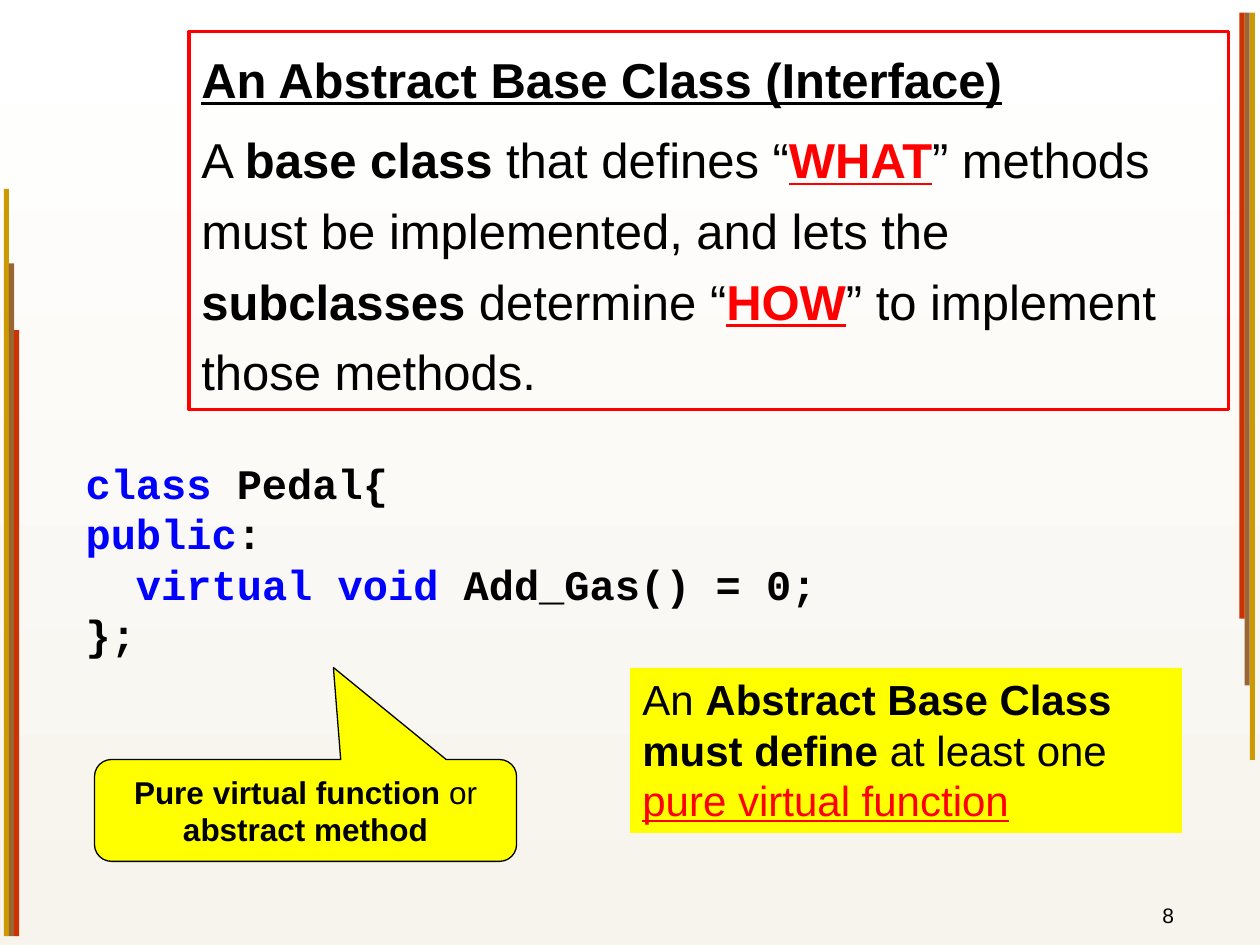
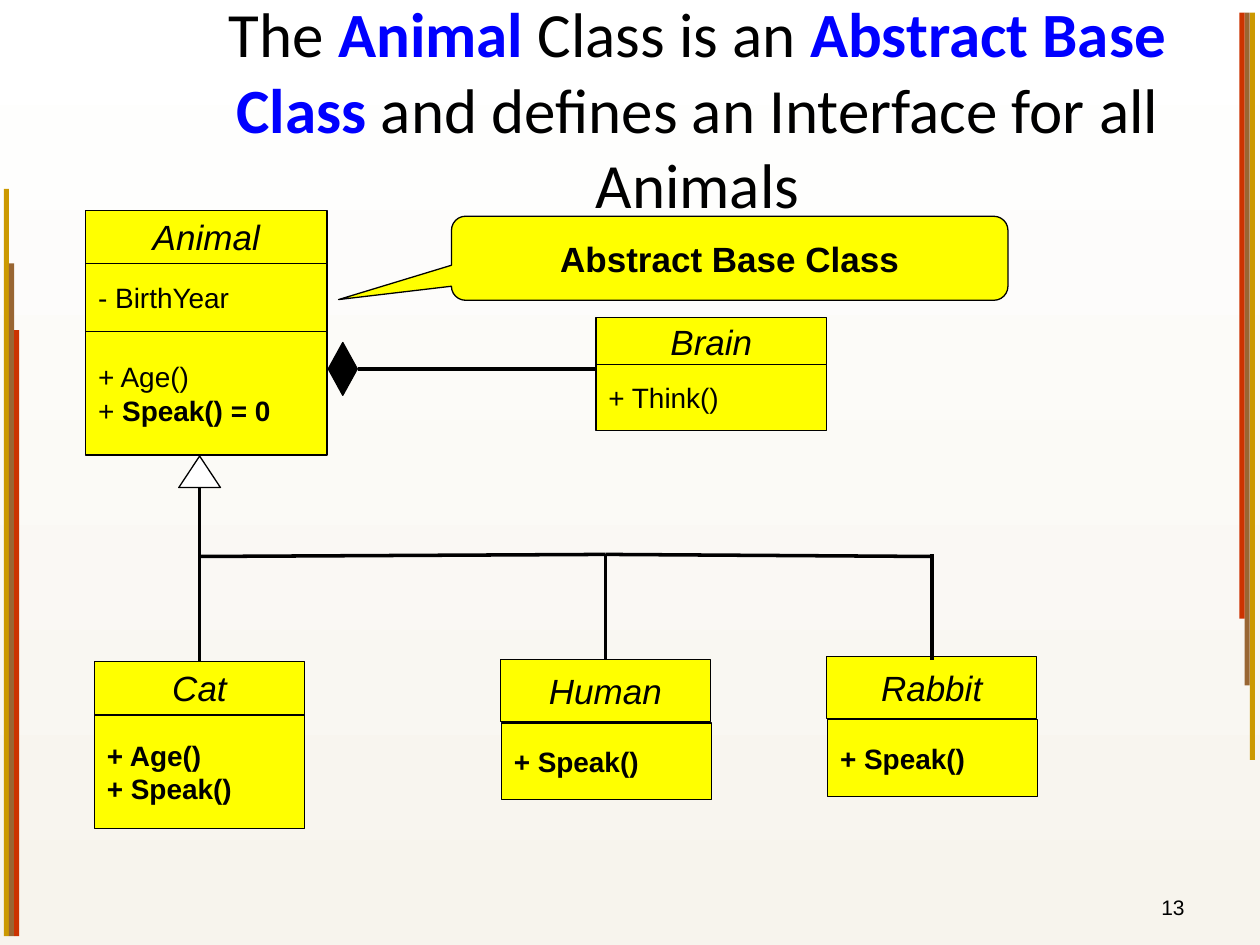
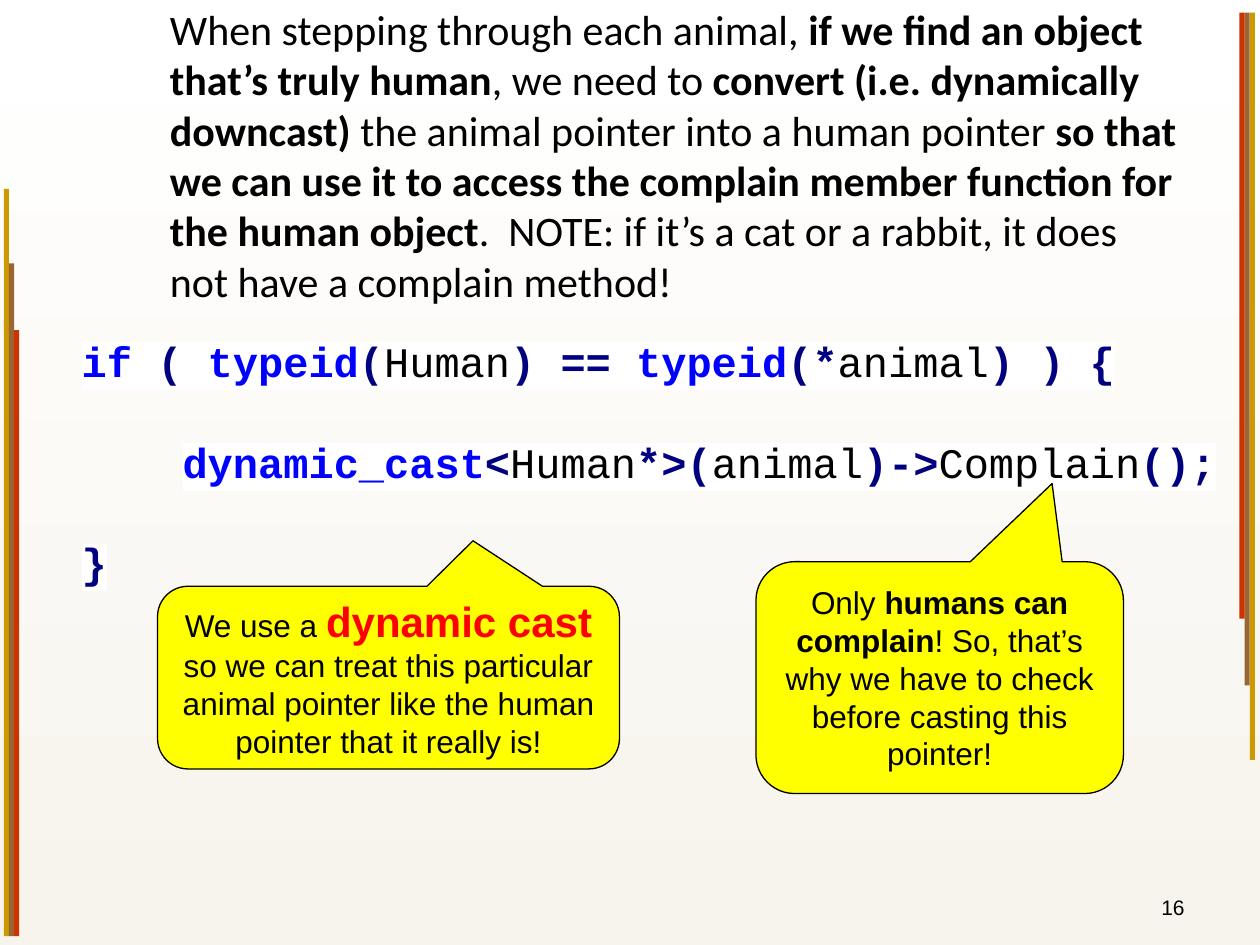
from lxml import etree
from pptx import Presentation
from pptx.dml.color import RGBColor
from pptx.enum.shapes import MSO_CONNECTOR, MSO_SHAPE
from pptx.enum.text import MSO_ANCHOR, PP_ALIGN
from pptx.oxml.ns import qn
from pptx.util import Pt

RECT, CALLOUT = MSO_SHAPE.RECTANGLE, MSO_SHAPE.ROUNDED_RECTANGULAR_CALLOUT
TRIANGLE, DIAMOND = MSO_SHAPE.ISOSCELES_TRIANGLE, MSO_SHAPE.DIAMOND
STRAIGHT = MSO_CONNECTOR.STRAIGHT
TOP, MIDDLE, BOTTOM = MSO_ANCHOR.TOP, MSO_ANCHOR.MIDDLE, MSO_ANCHOR.BOTTOM
LEFT, CENTER, RIGHT = PP_ALIGN.LEFT, PP_ALIGN.CENTER, PP_ALIGN.RIGHT

COLORS = {
    "black": "000000", "white": "FFFFFF", "cream": "F7F4ED",
    "yellow": "FFFF00", "red": "FF0000", "blue": "0000FF", "navy": "000080",
    "gold": "CC9900", "brown": "996633", "rust": "CC3300",
}
BOLD = {"bold": True}
RED_BOLD = {"color": "red", "bold": True, "underline": True}
BLUE_BOLD = {"color": "blue", "bold": True}
NAVY_BOLD = {"color": "navy", "bold": True}
LINE_PITCH = 28.8   # one line of 24 pt text
CHAR = 14.4         # one character of 24 pt code


def rgb(name):
    return RGBColor.from_string(COLORS[name])


def write(sp, paragraphs, align=LEFT, anchor=TOP, spacing=None, before=None, **style):
    """Each paragraph is a list of runs: a string, or (string, style changes)."""
    base = {"font": "Arial", "size": 18, "color": "black", **style}
    tf = sp.text_frame
    tf.word_wrap = True
    tf.vertical_anchor = anchor
    for i, runs in enumerate(paragraphs):
        p = tf.add_paragraph() if i else tf.paragraphs[0]
        p.alignment, p.line_spacing = align, spacing
        if before:
            p.space_before = Pt(before)
        for run in runs:
            text, changes = (run, {}) if isinstance(run, str) else run
            look = {**base, **changes}
            r = p.add_run()
            r.text = text
            r.font.size = Pt(look["size"])
            r.font.bold = look.get("bold", False)
            r.font.italic = look.get("italic", False)
            r.font.underline = look.get("underline", False)
            r.font.color.rgb = rgb(look["color"])
            if "highlight" in look:
                mark = etree.SubElement(r.font._element, qn("a:highlight"))
                etree.SubElement(mark, qn("a:srgbClr"), val=COLORS[look["highlight"]])
            r.font.name = look["font"]
    return tf


def add(s, kind, at, fill="yellow", line="black", weight=0.75, adjust=()):
    """Add a preset shape, or a text box when kind is None."""
    at = [Pt(v) for v in at]
    if kind is None:
        return s.shapes.add_textbox(*at)
    sp = s.shapes.add_shape(kind, *at)
    sp.shadow.inherit = False
    if fill:
        sp.fill.solid()
        sp.fill.fore_color.rgb = rgb(fill)
    else:
        sp.fill.background()
    if line:
        sp.line.color.rgb = rgb(line)
        sp.line.width = Pt(weight)
    else:
        sp.line.fill.background()
    for i, value in enumerate(adjust):
        sp.adjustments[i] = value
    return sp


prs = Presentation()
prs.slide_width, prs.slide_height = Pt(720), Pt(540)

# Shared background
fill = prs.slide_master.background.fill
fill.gradient()
fill.gradient_angle = 270
for stop, position, name in zip(fill.gradient_stops, (0, 1), ("white", "cream")):
    stop.position = position
    stop.color.rgb = rgb(name)

# Shared side bands and page numbers
BANDS = [("gold", 427), ("brown", 384.5), ("rust", 346.3)]
NUMBER_AT = (516, 492, 168, 37.2)
PAGES = [("8", (630, 510, 48, 23.5)), ("13", NUMBER_AT), ("16", NUMBER_AT)]
slides = []
for number, at in PAGES:
    s = prs.slides.add_slide(prs.slide_layouts[6])
    for i, (name, height) in enumerate(BANDS):
        add(s, RECT, (2.2 + 2.95 * i, 535 - height, 2.95, height), name, None)
        add(s, RECT, (714.2 - 2.95 * i, 7.2, 2.95, height), name, None)
    write(add(s, None, at), [[number]], size=12, align=RIGHT, anchor=BOTTOM)
    slides.append(s)
interface, diagram, downcast = slides

# Slide 1: definition
sp = add(interface, RECT, (108, 18, 594, 216), None, "red", 2)
write(sp, [
    [("An Abstract Base Class (Interface)", {"bold": True, "underline": True})],
    ["A ", ("base class ", BOLD), "that defines “", ("WHAT", RED_BOLD),
     "” methods must be implemented, and lets the ", ("subclasses", BOLD),
     " determine “", ("HOW", RED_BOLD), "” to implement those methods."],
], size=28, spacing=1.2, before=5.6)

# Slide 1: rule
sp = add(interface, RECT, (360, 381.6, 315.4, 94.4), line=None)
write(sp, [["An ", ("Abstract Base Class must define ", BOLD), "at least one ",
            ("pure virtual function", {"color": "red", "underline": True})]], size=24)

# Slide 1: code
tf = write(add(interface, None, (41.8, 257.8, 435.6, 123.8)), [
    [("class", BLUE_BOLD), " Pedal{"],
    [("public", BLUE_BOLD), ":"],
    [("virtual void ", BLUE_BOLD), "Add_Gas() = 0;"],
    ["};"],
], font="Courier New", size=24, bold=True)
tf.paragraphs[2]._p.get_or_add_pPr().set("marL", str(Pt(2 * CHAR)))

sp = add(interface, CALLOUT, (54, 434, 241.2, 58.2), adjust=(0.066, -1.404, 0.167))
write(sp, [[("Pure virtual function ", BOLD), "or ", ("abstract method", BOLD)]],
      align=CENTER, anchor=MIDDLE)

# Slide 2: title
write(add(diagram, None, (88.6, 16.6, 620, 90)), [[
    "The ", ("Animal", BLUE_BOLD), " Class is an ", ("Abstract Base Class", BLUE_BOLD),
    " and defines an Interface for all Animals",
]], font="Calibri", size=36, align=CENTER, anchor=MIDDLE)

# Slide 2: classes as (name, name box, [(member box, members)])
CLASSES = [
    ("Animal", (49, 120.2, 137.8, 30.3), [
        ((49, 150.5, 137.8, 39), [["- BirthYear"]]),
        ((49, 189.5, 137.8, 70.5), [["+ Age()"], ["+ ", ("Speak() = 0", BOLD)]])]),
    ("Brain", (340.6, 181.4, 131.8, 27), [
        ((340.6, 208.2, 131.8, 37.9), [["+ Think()"]])]),
    ("Cat", (54, 378, 120, 30.2), [
        ((54, 408.6, 120, 65), [[("+ Age()", BOLD)], [("+ Speak()", BOLD)]])]),
    ("Human", (286, 377, 120, 35.3), [
        ((286.5, 413.1, 120, 44), [[("+ Speak()", BOLD)]])]),
    ("Rabbit", (472.4, 375.1, 120, 35.3), [
        ((473, 411.3, 120, 44), [[("+ Speak()", BOLD)]])]),
]
for name, name_at, parts in CLASSES:
    write(add(diagram, RECT, name_at), [[name]],
          size=20, italic=True, align=CENTER, anchor=MIDDLE)
    for part_at, members in parts:
        write(add(diagram, RECT, part_at), members, size=16, anchor=MIDDLE)

# Slide 2: inheritance and composition
LINKS = [
    (114, 278.6, 114, 378),
    (114, 318, 346, 316.8),
    (346, 316.8, 532.6, 318),
    (346, 377, 346, 316.8),
    (532.6, 377, 532.6, 316.8),
    (204.5, 210.8, 340.6, 210.8),
]
for ends in LINKS:
    link = diagram.shapes.add_connector(STRAIGHT, *[Pt(v) for v in ends])
    link.line.color.rgb = rgb("black")
    link.line.width = Pt(2)
    etree.SubElement(link._element.spPr, qn("a:effectLst"))
add(diagram, TRIANGLE, (102.2, 260.6, 23.8, 18), "white")
add(diagram, DIAMOND, (187.6, 195.7, 16.6, 30.2), "black")

sp = add(diagram, CALLOUT, (258, 123.6, 318, 48), adjust=(-0.703, 0.492, 0.167))
write(sp, [["Abstract Base Class"]], size=20, bold=True, align=CENTER, anchor=MIDDLE)

# Slide 3: explanation
write(add(downcast, None, (90, 13, 594, 150.5)), [[
    "When stepping through each animal, ",
    ("if we find an object that’s truly human", BOLD), ", we need to ",
    ("convert (i.e. dynamically downcast)", BOLD),
    " the animal pointer into a human pointer ",
    ("so that we can use it to access the complain member function"
     " for the human object", BOLD),
    ".  NOTE: if it’s a cat or a rabbit, it does not have a complain method!",
]], font="Calibri", size=24, anchor=MIDDLE)

# Slide 3: code
tf = write(add(downcast, None, (39.6, 188, 696, 152.6)), [
    [("if", BLUE_BOLD), " ", ("( ", NAVY_BOLD), ("typeid", BLUE_BOLD), ("(", NAVY_BOLD),
     "Human", (")", NAVY_BOLD), " ", ("==", NAVY_BOLD), " ", ("typeid", BLUE_BOLD),
     ("(*", NAVY_BOLD), "animal", (") )", NAVY_BOLD), " ", ("{", NAVY_BOLD)],
    [("dynamic_cast", BLUE_BOLD), ("<", NAVY_BOLD), "Human", ("*>(", NAVY_BOLD),
     "animal", (")->", NAVY_BOLD), "Complain", ("();", NAVY_BOLD)],
    [("}", NAVY_BOLD)],
], font="Courier New", size=24, highlight="white")
for p in tf.paragraphs[1:]:
    p.space_before = Pt(LINE_PITCH)
tf.paragraphs[1]._p.get_or_add_pPr().set("marL", str(Pt(4 * CHAR)))

# Slide 3: callouts
NOTES = [
    ((90, 335, 264, 104.4), (0.183, -0.749, 0.167), [
        "We use a ", ("dynamic cast", {"size": 24, "color": "red", "bold": True}),
        " so we can treat this particular animal pointer like the human pointer"
        " that it really is!"]),
    ((432, 321, 210, 132.5), (0.306, -0.837, 0.167), [
        "Only ", ("humans can complain", BOLD),
        "! So, that’s why we have to check before casting this pointer!"]),
]
for at, adjust, runs in NOTES:
    write(add(downcast, CALLOUT, at, adjust=adjust), [runs], align=CENTER, anchor=MIDDLE)

prs.save("out.pptx")
